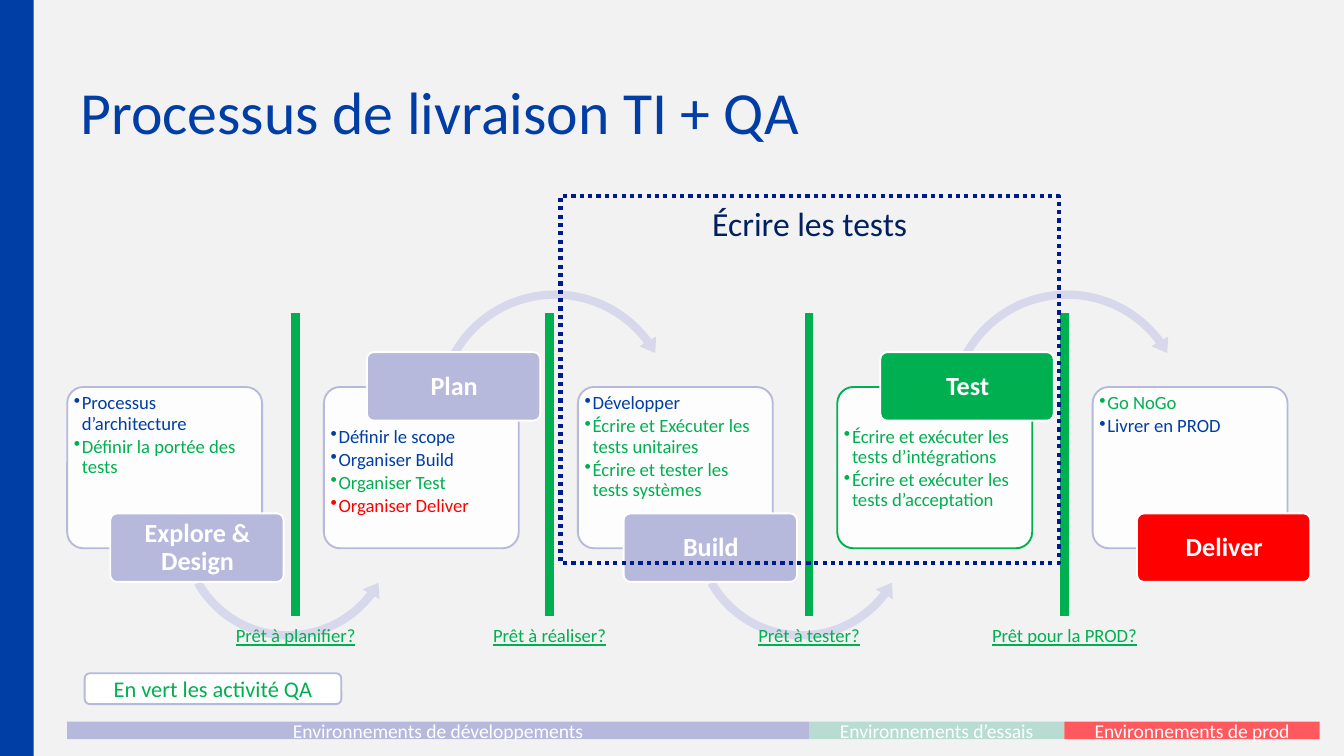
import pptx
import pptx.util
import pptx.dml.color
import pptx.enum.dml
import pptx.enum.shapes
import pptx.enum.text
import pptx.oxml
import pptx.oxml.ns
import lxml.etree

SCALE = 9144
KIND = pptx.enum.shapes.MSO_SHAPE
ALIGN = pptx.enum.text.PP_ALIGN
ANCHOR = pptx.enum.text.MSO_ANCHOR
COLORS = {
    "background": "F2F2F2", "blue": "003DA5", "green": "00B050", "red": "FF0000",
    "lilac": "B6B8DC", "arrow": "D7D8EB", "white": "FFFFFF", "mint": "B9DCD2",
    "coral": "FF585D", "frame": "00198D", "navy": "002060",
}

title = "Processus de livraison TI + QA"
steps = [
    (50, "Explore & Design", "lilac", "lilac",
     [("Processus d’architecture", "blue"), ("Définir la portée des tests", "green")]),
    (241, "Plan", "lilac", "lilac",
     [("Définir le scope", "blue"), ("Organiser Build", "blue"),
      ("Organiser Test", "green"), ("Organiser Deliver", "red")]),
    (430, "Build", "lilac", "lilac",
     [("Développer", "blue"), ("Écrire et Exécuter les tests unitaires", "green"),
      ("Écrire et tester les tests systèmes", "green")]),
    (623, "Test", "green", "green",
     [("Écrire et exécuter les tests d’intégrations", "green"),
      ("Écrire et exécuter les tests d’acceptation", "green")]),
    (813, "Deliver", "red", "lilac", [("Go NoGo", "green"), ("Livrer en PROD", "blue")]),
]
arrow_lefts = [130, 320, 512, 701]
lower_arrow = (KIND.LEFT_CIRCULAR_ARROW, 311, 169, (0.037, 4.569, 22.324, 90.245, 0.043))
upper_arrow = (KIND.CIRCULAR_ARROW, 212, 186, (0.033, 4.121, 194.124, 125.755, 0.039))
gates = [(220, "Prêt à planifier?"), (409, "Prêt à réaliser?"),
         (602, "Prêt à tester?"), (792, "Prêt pour la PROD?")]
environments = [(50, 602, "Environnements de développements", "lilac"),
                (602, 792, "Environnements d’essais", "mint"),
                (792, 982, "Environnements de prod", "coral")]

deck = pptx.Presentation()
deck.slide_width = 1000 * SCALE
deck.slide_height = deck.slide_width * 9 // 16
slide = deck.slides.add_slide(deck.slide_layouts[6])


def rgb(name):
    return pptx.dml.color.RGBColor.from_string(COLORS[name])


def emu(*lengths):
    return [length * SCALE for length in lengths]


def add_part(kind, box, fill=None, line=None, width=1, adjust=()):
    part = slide.shapes.add_shape(kind, *emu(*box))
    part.shadow.inherit = False
    if fill:
        part.fill.solid()
        part.fill.fore_color.rgb = rgb(fill)
    else:
        part.fill.background()
    if line:
        part.line.color.rgb = rgb(line)
        part.line.width = pptx.util.Pt(width)
    else:
        part.line.fill.background()
    for index, value in enumerate(adjust):
        part.adjustments[index] = value
    return part


def add_textbox(box):
    return slide.shapes.add_textbox(*emu(*box))


def write(part, lines, size, color="white", bold=False, underline=False, align=ALIGN.CENTER,
          anchor=ANCHOR.MIDDLE, margins=None, spacing=None, after=None, bullet=False):
    frame = part.text_frame
    frame.word_wrap = True
    frame.vertical_anchor = anchor
    if margins:
        (frame.margin_left, frame.margin_top,
         frame.margin_right, frame.margin_bottom) = emu(*margins)
    if isinstance(lines, str):
        lines = [(lines, color)]
    for index, (words, tint) in enumerate(lines):
        paragraph = frame.add_paragraph() if index else frame.paragraphs[0]
        paragraph.alignment = align
        if spacing:
            paragraph.line_spacing = spacing
        if after:
            paragraph.space_after = pptx.util.Pt(after)
        if bullet:
            paragraph.level = 1
            properties = paragraph._p.get_or_add_pPr()
            properties.set("marL", str(6 * SCALE))
            properties.set("indent", str(-6 * SCALE))
            mark = lxml.etree.SubElement(properties, pptx.oxml.ns.qn("a:buChar"))
            mark.set("char", "•")
        run = paragraph.add_run()
        run.text = words
        run.font.name = "Calibri"
        run.font.size = pptx.util.Pt(size)
        run.font.color.rgb = rgb(tint)
        run.font.bold = bold
        run.font.underline = underline


background = slide.background.fill
background.solid()
background.fore_color.rgb = rgb("background")
side_band = add_part(KIND.RECTANGLE, (0, 0, 25, 562), fill="blue")
side_band.height = deck.slide_height
write(add_textbox((50, 31, 925, 109)), title, 32, "blue", align=ALIGN.LEFT, spacing=0.9)

for index, (left, name, label_fill, border, activities) in enumerate(steps):
    upper = index % 2 == 1
    card = add_part(KIND.ROUNDED_RECTANGLE, (left, 288, 145, 120), "white", border, adjust=[0.1])
    card_color = card.fill._xPr.find(".//" + pptx.oxml.ns.qn("a:srgbClr"))
    lxml.etree.SubElement(card_color, pptx.oxml.ns.qn("a:alpha")).set("val", "90000")
    write(add_textbox((left + 3, 316 if upper else 291, 140, 89)), activities, 10,
          align=ALIGN.LEFT, anchor=ANCHOR.TOP, margins=(2, 2, 2, 2),
          spacing=0.9, after=1.5, bullet=True)
    if index < len(arrow_lefts):
        kind, top, side, adjust = upper_arrow if upper else lower_arrow
        add_part(kind, (arrow_lefts[index], top, side, side), "arrow", adjust=adjust)
    label_left = 82 + 191 * index
    label_top = 262 if upper else 382
    add_part(KIND.ROUNDED_RECTANGLE, (label_left, label_top, 129, 51),
             label_fill, "white", adjust=[0.1])
    write(add_textbox((label_left + 2, label_top + 2, 126, 48)), name, 14, bold=True,
          margins=(3, 2, 3, 2), spacing=0.9)

legend = add_part(KIND.ROUNDED_RECTANGLE, (63, 501, 191, 23), "white", "lilac")
write(legend, "En vert les activité QA", 12, "green")

for center, question in gates:
    gate_label = add_part(KIND.ROUNDED_RECTANGLE, (center - 88, 458, 176, 30))
    write(gate_label, question, 10, "green", underline=True, anchor=ANCHOR.TOP)
    gate = slide.shapes.add_connector(pptx.enum.shapes.MSO_CONNECTOR.STRAIGHT,
                                      *emu(center, 233, center, 458))
    gate.end_connect(gate_label, 0)
    gate.line.color.rgb = rgb("green")
    gate.line.width = pptx.util.Pt(4.5)
    lxml.etree.SubElement(gate._element.spPr, pptx.oxml.ns.qn("a:effectLst"))

for start, end, name, fill in environments:
    write(add_part(KIND.RECTANGLE, (start, 537, end - start, 13), fill), name, 10.5)

tests_frame = add_part(KIND.RECTANGLE, (417, 146, 371, 273), line="frame", width=2.25)
tests_frame.line.dash_style = pptx.enum.dml.MSO_LINE.ROUND_DOT
write(tests_frame, "Écrire les tests", 18, "navy", anchor=ANCHOR.TOP)

deck.save("out.pptx")
